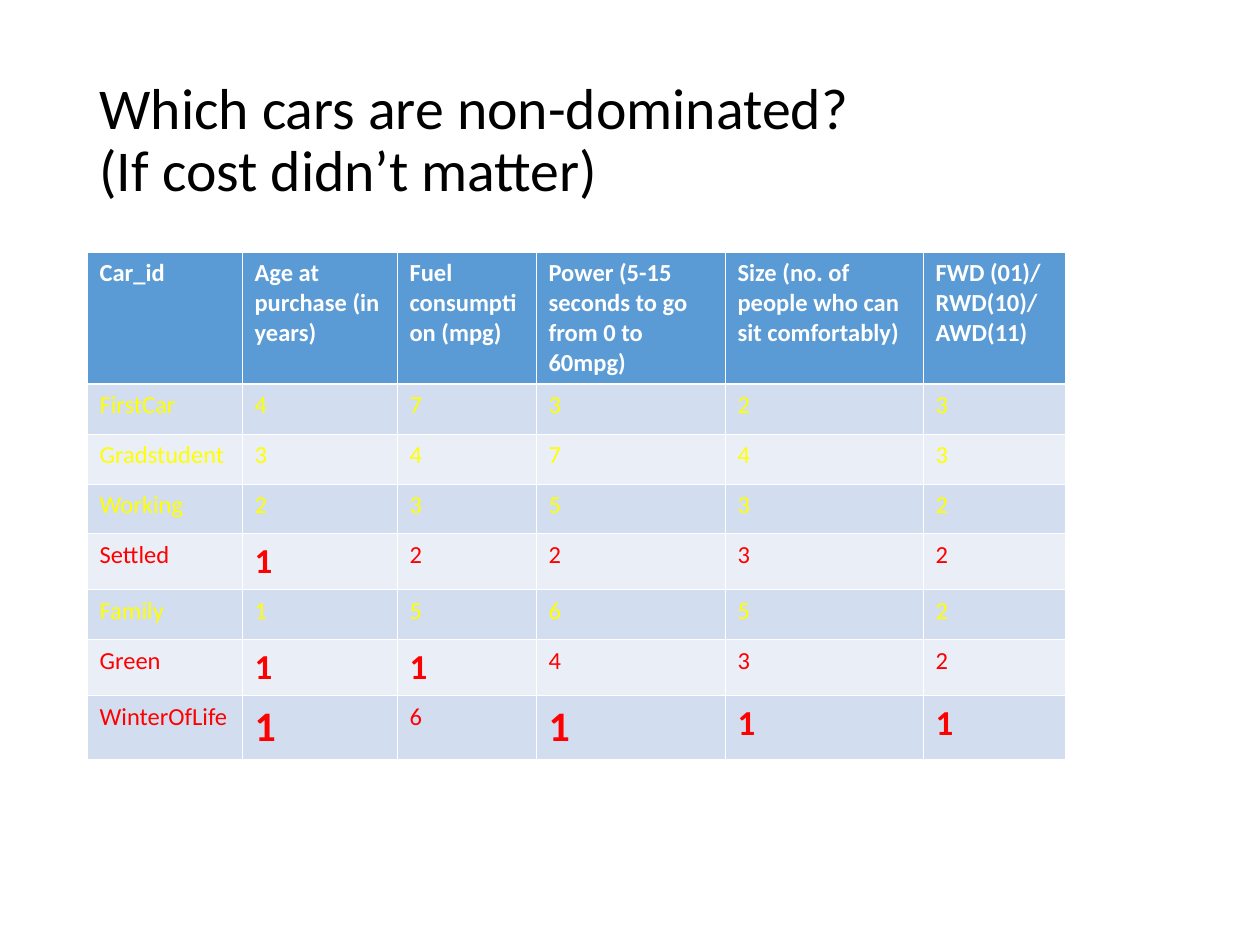
from dataclasses import dataclass

from lxml import etree
from pptx import Presentation
from pptx.dml.color import RGBColor
from pptx.enum.text import MSO_ANCHOR
from pptx.oxml.ns import qn
from pptx.util import Inches, Pt

MIDDLE = MSO_ANCHOR.MIDDLE
PX_PER_INCH = 126


@dataclass(frozen=True)
class Theme:
    font: str = "Calibri"
    ink: str = "000000"
    white: str = "FFFFFF"
    header: str = "5B9BD5"
    bands: tuple = ("D2DEEF", "EAEFF7")
    dominated: str = "FFFF00"
    non_dominated: str = "FF0000"
    title: int = 33
    body: int = 14
    best: int = 20
    top: int = 24
    thin: float = 0.45
    thick: float = 1.47


THEME = Theme()

TITLE = ("Which cars are non-dominated? ", "(If cost didn’t matter)")
HEADERS = (
    "Car_id",
    "Age at purchase (in years)",
    "Fuel consumption (mpg)",
    "Power (5-15 seconds to go from 0 to 60mpg)",
    "Size (no. of people who can sit comfortably)",
    "FWD (01)/ RWD(10)/ AWD(11)",
)
CARS = (
    ("FirstCar", 4, 7, 3, 2, 3),
    ("Gradstudent", 3, 4, 7, 4, 3),
    ("Working", 2, 3, 5, 3, 2),
    ("Settled", 1, 2, 2, 3, 2),
    ("Family", 1, 5, 6, 5, 2),
    ("Green", 1, 1, 4, 3, 2),
    ("WinterOfLife", 1, 6, 1, 1, 1),
)
NON_DOMINATED = {"Settled", "Green", "WinterOfLife"}
TOP_CELLS = {("WinterOfLife", 1), ("WinterOfLife", 3)}
COL_WIDTHS = (155, 155, 139, 189, 198, 142)
ROW_HEIGHTS = (132, 50, 50, 50, 56, 50, 56, 64)


def px(n):
    return Inches(n / PX_PER_INCH)


def add_run(p, text, size, color, bold=False):
    r = p.add_run()
    r.text = text
    r.font.name = THEME.font
    r.font.size = Pt(size)
    r.font.bold = bold
    r.font.color.rgb = RGBColor.from_string(color)


def set_borders(cell, top, bottom):
    tc_pr = cell._tc.get_or_add_tcPr()
    widths = {"a:lnL": THEME.thin, "a:lnR": THEME.thin, "a:lnT": top, "a:lnB": bottom}
    for i, (tag, width) in enumerate(widths.items()):
        ln = etree.Element(qn(tag), w=str(Pt(width)))
        fill = etree.SubElement(ln, qn("a:solidFill"))
        etree.SubElement(fill, qn("a:srgbClr"), val=THEME.white)
        tc_pr.insert(i, ln)


def fill_cell(cell, text, fill, size, color, bold, top, bottom):
    cell.fill.solid()
    cell.fill.fore_color.rgb = RGBColor.from_string(fill)
    set_borders(cell, top, bottom)
    add_run(cell.text_frame.paragraphs[0], text, size, color, bold)


def add_title(s, x, y, w, h):
    tf = s.shapes.add_textbox(px(x), px(y), px(w), px(h)).text_frame
    tf.word_wrap = True
    tf.vertical_anchor = MIDDLE
    p = tf.paragraphs[0]
    p.line_spacing = 0.9
    first, second = TITLE
    add_run(p, first, THEME.title, THEME.ink)
    p.add_line_break()
    add_run(p, second, THEME.title, THEME.ink)


def add_car_table(s, x, y):
    table = s.shapes.add_table(
        len(ROW_HEIGHTS), len(COL_WIDTHS),
        px(x), px(y), px(sum(COL_WIDTHS)), px(sum(ROW_HEIGHTS)),
    ).table
    for col, width in zip(table.columns, COL_WIDTHS):
        col.width = px(width)
    for row, height in zip(table.rows, ROW_HEIGHTS):
        row.height = px(height)

    for j, text in enumerate(HEADERS):
        fill_cell(table.cell(0, j), text, THEME.header, THEME.body, THEME.white,
                  True, THEME.thin, THEME.thick)

    for i, car in enumerate(CARS, 1):
        name = car[0]
        chosen = name in NON_DOMINATED
        color = THEME.non_dominated if chosen else THEME.dominated
        fill = THEME.bands[(i - 1) % 2]
        top = THEME.thick if i == 1 else THEME.thin
        for j, value in enumerate(car):
            best = chosen and value == 1
            size = THEME.best if best else THEME.body
            if (name, j) in TOP_CELLS:
                size = THEME.top
            fill_cell(table.cell(i, j), str(value), fill, size, color,
                      best, top, THEME.thin)


def main():
    prs = Presentation()
    prs.slide_width, prs.slide_height = px(1260), px(945)
    s = prs.slides.add_slide(prs.slide_layouts[6])
    add_title(s, 87, 50, 1087, 183)
    add_car_table(s, 87, 252)
    prs.save("out.pptx")


if __name__ == "__main__":
    main()
